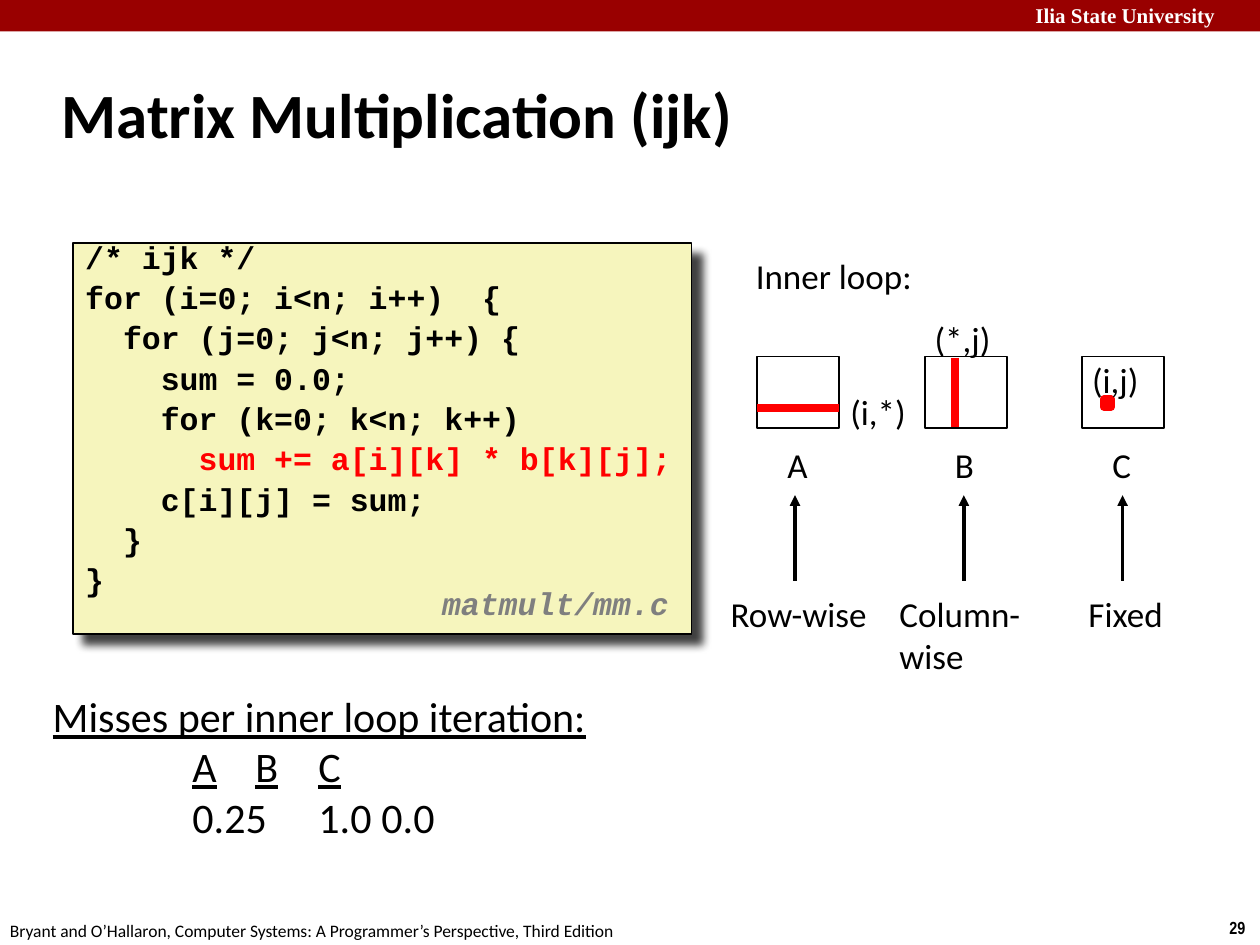
from lxml import etree
from pptx import Presentation
from pptx.dml.color import RGBColor
from pptx.enum.shapes import MSO_CONNECTOR, MSO_SHAPE
from pptx.enum.text import MSO_ANCHOR
from pptx.oxml import parse_xml
from pptx.oxml.ns import qn
from pptx.util import Pt

RECTANGLE = MSO_SHAPE.RECTANGLE
STRAIGHT = MSO_CONNECTOR.STRAIGHT
MIDDLE = MSO_ANCHOR.MIDDLE

BLACK = RGBColor(0, 0, 0)
WHITE = RGBColor(255, 255, 255)
RED = RGBColor(255, 0, 0)
DARK_RED = RGBColor(0x99, 0, 0)
CREAM = RGBColor(0xF6, 0xF5, 0xBD)
GRAY = RGBColor(0x7F, 0x7F, 0x7F)

CODE = [
    "/* ijk */",
    "for (i=0; i<n; i++)  {",
    "  for (j=0; j<n; j++) {",
    "    sum = 0.0;",
    "    for (k=0; k<n; k++)",
    "      sum += a[i][k] * b[k][j];",
    "    c[i][j] = sum;",
    "  }",
    "}",
]
INNER_STATEMENT = 5

# name, square left, arrow x, access pattern, pattern left, pattern width
MATRICES = [
    ("A", 432.7, 454.3, ["Row-wise"], 410.4, 92.9),
    ("B", 528.5, 550.8, ["Column-", "wise"], 506.9, 84.2),
    ("C", 618.5, 641.5, ["Fixed"], 614.9, 56.9),
]
SQUARE_TOP, SQUARE_WIDTH, SQUARE_HEIGHT = 203.8, 46.8, 41
LABEL_HEIGHT = 31
INDEX_LABELS = [
    ("Inner loop:", 424.8, 141.8, 104.4),
    ("(i,*)", 478.8, 219.6, 46.1),
    ("(*,j)", 527, 177.8, 46.8),
    ("(i,j)", 617, 201.6, 41),
]

MISSES_TITLE = "Misses per inner loop iteration:"
MISSES = [("A", "0.25"), ("B", "1.0"), ("C", "0.0")]
FOOTER = "Bryant and O’Hallaron, Computer Systems: A Programmer’s Perspective, Third Edition"

SHADOW = (
    '<a:outerShdw xmlns:a="http://schemas.openxmlformats.org/drawingml/2006/main" '
    'blurRad="63500" dist="107950" dir="2700000" algn="tl" rotWithShape="0">'
    '<a:srgbClr val="000000"><a:alpha val="74000"/></a:srgbClr></a:outerShdw>'
)


def set_font(font, size, name="Calibri", color=BLACK, bold=False, italic=False):
    font.size = Pt(size)
    font.name = name
    font.color.rgb = color
    font.bold = bold
    font.italic = italic


def set_indent(paragraph, left, first):
    properties = paragraph._p.get_or_add_pPr()
    properties.set("marL", str(Pt(left)))
    properties.set("indent", str(Pt(first)))


def add_text(slide, lines, left, top, width, height, size, **font_options):
    box = slide.shapes.add_textbox(Pt(left), Pt(top), Pt(width), Pt(height))
    frame = box.text_frame
    frame.word_wrap = True
    frame.margin_right = 0  # lets short labels fill their box without wrapping
    frame.text = "\n".join(lines)
    for paragraph in frame.paragraphs:
        set_font(paragraph.font, size, **font_options)
    return frame


def add_rectangle(slide, left, top, width, height, fill, line=None, line_width=1):
    shape = slide.shapes.add_shape(RECTANGLE, Pt(left), Pt(top), Pt(width), Pt(height))
    shape.shadow.inherit = False
    shape.fill.solid()
    shape.fill.fore_color.rgb = fill
    if line is None:
        shape.line.fill.background()
    else:
        shape.line.color.rgb = line
        shape.line.width = Pt(line_width)
    return shape


def add_line(slide, x1, y1, x2, y2, color, width, arrow=False):
    connector = slide.shapes.add_connector(STRAIGHT, Pt(x1), Pt(y1), Pt(x2), Pt(y2))
    connector.line.color.rgb = color
    connector.line.width = Pt(width)
    if arrow:
        etree.SubElement(connector.line._get_or_add_ln(), qn("a:tailEnd"), type="triangle")
    etree.SubElement(connector._element.spPr, qn("a:effectLst"))


def add_page_frame(slide):
    add_rectangle(slide, 0, 0, 720, 18, DARK_RED)
    add_text(slide, ["Ilia State University"], 584.6, -2.2, 140.4, 36, 12,
             name="Times New Roman", color=WHITE, bold=True)
    add_text(slide, ["29"], 695.5, 520.6, 24.5, 19.4, 10, name="Arial Narrow", bold=True)
    add_text(slide, [FOOTER], -1.4, 522, 365.8, 19.4, 10)
    title = add_text(slide, ["Matrix Multiplication (ijk)"], 28.1, 34.6, 597.6, 59.8, 36,
                     bold=True)
    title.vertical_anchor = MIDDLE
    set_indent(title.paragraphs[0], 9.4, -9.4)


def add_code(slide):
    panel = add_rectangle(slide, 41.6, 139, 353.5, 223.2, CREAM, BLACK)
    panel._element.spPr.find(qn("a:effectLst")).append(parse_xml(SHADOW))
    frame = panel.text_frame
    frame.word_wrap = True
    frame.vertical_anchor = MSO_ANCHOR.TOP
    frame.text = "\n".join(CODE)
    for number, paragraph in enumerate(frame.paragraphs):
        paragraph.alignment = 1
        paragraph.line_spacing = 0.65
        paragraph.space_before = Pt(9 if number else 0)
        color = RED if number == INNER_STATEMENT else BLACK
        set_font(paragraph.font, 18, "Courier New", color, bold=True)


def add_matrices(slide):
    for name, left, arrow_x, pattern, pattern_left, pattern_width in MATRICES:
        add_rectangle(slide, left, SQUARE_TOP, SQUARE_WIDTH, SQUARE_HEIGHT, WHITE, BLACK)
        add_text(slide, [name], left + 10.1, 249.8, 25.9, LABEL_HEIGHT, 20)
        add_line(slide, arrow_x, 331.9, arrow_x, 283, BLACK, 2, arrow=True)
        add_text(slide, pattern, pattern_left, 334.8, pattern_width,
                 LABEL_HEIGHT + 24.4 * (len(pattern) - 1), 20)
    row_left = MATRICES[0][1]
    add_line(slide, row_left, 233.3, row_left + SQUARE_WIDTH, 233.3, RED, 4.5)
    add_line(slide, 545.8, 204.5, 545.8, 244.1, RED, 4.5)
    add_rectangle(slide, 630.7, 228.2, 4.3, 4.3, RED, RED, 4.5)
    for text, left, top, width in INDEX_LABELS:
        add_text(slide, [text], left, top, width, LABEL_HEIGHT, 20)


def add_misses(slide):
    frame = add_text(slide, [MISSES_TITLE], 23, 391, 399.6, 95.8, 24)
    heading = frame.paragraphs[0]
    set_indent(heading, 17.3, -17.3)
    heading.font.underline = True
    names, values = frame.add_paragraph(), frame.add_paragraph()
    for number, (name, _) in enumerate(MISSES):
        names.add_run().text = "\t" if number else "\t\t"
        run = names.add_run()
        run.text = name
        run.font.underline = True
    values.text = "\t\t" + "\t".join(value for _, value in MISSES)
    for paragraph in (names, values):
        set_indent(paragraph, 43.9, -17.3)
        set_font(paragraph.font, 24)


def main():
    presentation = Presentation()
    presentation.slide_width, presentation.slide_height = Pt(720), Pt(540)
    slide = presentation.slides.add_slide(presentation.slide_layouts[6])
    add_page_frame(slide)
    add_code(slide)
    add_matrices(slide)
    add_misses(slide)
    file_name = add_text(slide, ["matmult/mm.c"], 245.5, 331.9, 149.8, 28.1, 18,
                         name="Courier New", color=GRAY, bold=True, italic=True)
    file_name.paragraphs[0].line_spacing = 0.94
    presentation.save("out.pptx")


if __name__ == "__main__":
    main()
